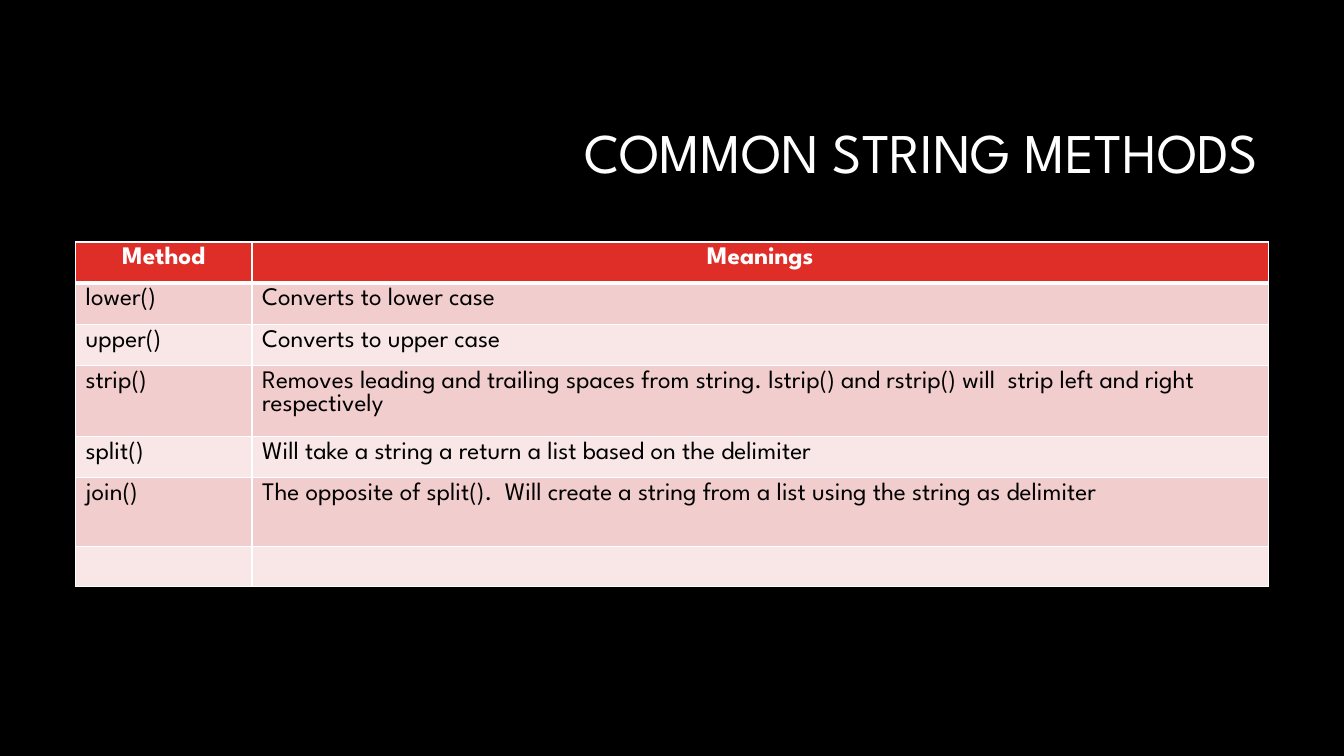
"""Build a slide with a table of common string methods."""
import dataclasses

import lxml.etree
import pptx
import pptx.dml.color
import pptx.enum.text
import pptx.oxml.ns
import pptx.util

Inches = pptx.util.Inches
Align = pptx.enum.text.PP_ALIGN
Color = pptx.dml.color.RGBColor.from_string


@dataclasses.dataclass(frozen=True)
class Theme:
    font: str = "League Spartan"
    back: str = "000000"
    ink: str = "000000"
    white: str = "FFFFFF"
    head: str = "DF2E28"
    bands: tuple = ("F9E7E7", "F2CDCD")
    title: int = 40
    body: int = 18
    thin: float = 0.96
    thick: float = 3


theme = Theme()


def write(frame, text, size=theme.body, color=theme.ink, bold=False, align=Align.LEFT):
    line = frame.paragraphs[0]
    line.alignment = align
    run = line.add_run()
    run.text = text
    run.font.name = theme.font
    run.font.size = pptx.util.Pt(size)
    run.font.bold = bold
    run.font.color.rgb = Color(color)
    return line


def border(cell, side, width):
    props = cell._tc.get_or_add_tcPr()
    edge = lxml.etree.SubElement(props, pptx.oxml.ns.qn(f"a:ln{side}"), w=str(pptx.util.Pt(width)))
    fill = lxml.etree.SubElement(edge, pptx.oxml.ns.qn("a:solidFill"))
    lxml.etree.SubElement(fill, pptx.oxml.ns.qn("a:srgbClr"), val=theme.white)


deck = pptx.Presentation()
deck.slide_width = Inches(13.33)
deck.slide_height = Inches(7.5)
slide = deck.slides.add_slide(deck.slide_layouts[6])
slide.background.fill.solid()
slide.background.fill.fore_color.rgb = Color(theme.back)

title = slide.shapes.add_textbox(Inches(3.17), Inches(0.84), Inches(9.41), Inches(1.41))
title.text_frame.word_wrap = True
title.text_frame.vertical_anchor = pptx.enum.text.MSO_ANCHOR.MIDDLE
head = write(title.text_frame, "COMMON STRING METHODS", size=theme.title,
             color=theme.white, align=Align.RIGHT)
head.line_spacing = 0.9

rows = [
    (0.41, "Method", "Meanings"),
    (0.41, "lower()", "Converts to lower case"),
    (0.41, "upper()", "Converts to upper case"),
    (0.68, "strip()", "Removes leading and trailing spaces from string. "
     "lstrip() and rstrip() will  strip left and right respectively"),
    (0.41, "split()", "Will take a string a return a list based on the delimiter"),
    (0.68, "join()", "The opposite of split().  Will create a string from a list "
     "using the string as delimiter"),
    (0.38, "", ""),
]
table = slide.shapes.add_table(len(rows), 2, Inches(0.75), Inches(2.4),
                               Inches(11.83), Inches(3.38)).table
for col, width in zip(table.columns, (1.75, 10.08)):
    col.width = Inches(width)

for r, (height, *texts) in enumerate(rows):
    table.rows[r].height = Inches(height)
    for c, text in enumerate(texts):
        cell = table.cell(r, c)
        if r == 0:
            write(cell.text_frame, text, color=theme.white, bold=True, align=Align.CENTER)
        else:
            write(cell.text_frame, text)
        for side in "LRTB":
            rule = (r, side) in ((0, "B"), (1, "T"))
            border(cell, side, theme.thick if rule else theme.thin)
        cell.fill.solid()
        cell.fill.fore_color.rgb = Color(theme.bands[r % 2] if r else theme.head)

deck.save("out.pptx")
